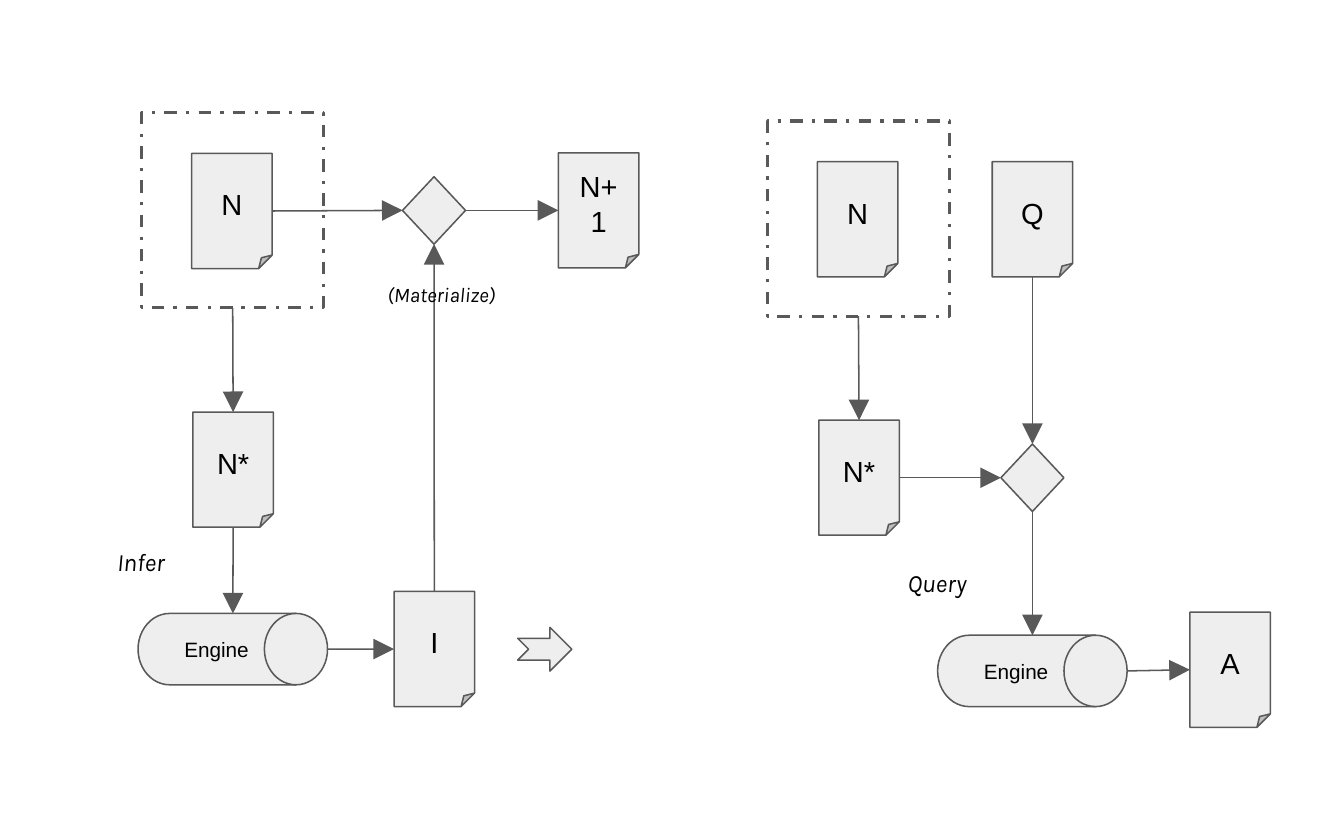
from lxml.etree import SubElement
from pptx import Presentation
from pptx.dml.color import RGBColor
from pptx.enum.dml import MSO_LINE
from pptx.enum.shapes import MSO_CONNECTOR, MSO_SHAPE
from pptx.enum.text import MSO_ANCHOR, PP_ALIGN
from pptx.oxml.ns import qn
from pptx.util import Pt

COLORS = {"fill": "EEEEEE", "line": "595959", "text": "000000"}

KINDS = {
    "frame": (MSO_SHAPE.RECTANGLE, 87.6, 94.1),
    "page": (MSO_SHAPE.FOLDED_CORNER, 38.8, 55.5),
    "merge": (MSO_SHAPE.DIAMOND, 30.4, 32.5),
    "engine": (MSO_SHAPE.FLOWCHART_DIRECT_ACCESS_STORAGE, 91.4, 34.4),
    "next": (MSO_SHAPE.NOTCHED_RIGHT_ARROW, 26.1, 21.1),
}

NODES = {
    "infer frame": ("frame", "", 68.4, 54.3),
    "infer N": ("page", "N", 92.4, 74),
    "infer N*": ("page", "N*", 93, 198.7),
    "infer engine": ("engine", "Engine", 66.6, 295.8),
    "I": ("page", "I", 190, 285.2),
    "infer merge": ("merge", "", 194.1, 85.2),
    "N+1": ("page", "N+1", 269.2, 73.7),
    "next step": ("next", "", 249.6, 302.5),
    "query frame": ("frame", "", 370.1, 58.4),
    "query N": ("page", "N", 394.1, 78),
    "Q": ("page", "Q", 478.4, 78),
    "query N*": ("page", "N*", 394.8, 202.6),
    "query merge": ("merge", "", 482.6, 214.1),
    "query engine": ("engine", "Engine", 452.1, 306.3),
    "A": ("page", "A", 573.7, 295.2),
}

ARROWS = [
    ("infer frame", "bottom", "infer N*", "top"),
    ("infer N*", "bottom", "infer engine", "top"),
    ("infer engine", "right", "I", "left"),
    ("I", "top", "infer merge", "bottom"),
    ("infer N", "right", "infer merge", "left"),
    ("infer merge", "right", "N+1", "left"),
    ("query frame", "bottom", "query N*", "top"),
    ("query N*", "right", "query merge", "left"),
    ("Q", "bottom", "query merge", "top"),
    ("query merge", "bottom", "query engine", "top"),
    ("query engine", "right", "A", "left"),
]

LABELS = [
    ("Infer", 12, 36, 256.3, 64),
    ("(Materialize)", 10, 175.7, 129.6, 74.2),
    ("Query", 12, 419.8, 266.4, 64),
]

SIDES = {"top": (0.5, 0), "bottom": (0.5, 1), "left": (0, 0.5), "right": (1, 0.5)}


def color(name):
    return RGBColor.from_string(COLORS[name])


def apply(target, values):
    for name, value in values.items():
        setattr(target, name, value)


def write(shape, text, anchor, alignment, font):
    frame = shape.text_frame
    margins = dict.fromkeys(
        ("margin_left", "margin_top", "margin_right", "margin_bottom"), Pt(7.2))
    apply(frame, {"word_wrap": True, "vertical_anchor": anchor, **margins})
    paragraph = frame.paragraphs[0]
    paragraph.alignment = alignment
    run = paragraph.add_run()
    run.text = text
    apply(run.font, font)
    run.font.color.rgb = color("text")


def draw_line(line, width):
    line.color.rgb = color("line")
    line.width = Pt(width)


def add_node(slide, kind, text, left, top):
    preset, width, height = KINDS[kind]
    shape = slide.shapes.add_shape(preset, Pt(left), Pt(top), Pt(width), Pt(height))
    shape.shadow.inherit = False
    if kind == "frame":
        shape.fill.background()
        draw_line(shape.line, 1.5)
        shape.line.dash_style = MSO_LINE.DASH_DOT
    else:
        shape.fill.solid()
        shape.fill.fore_color.rgb = color("fill")
        draw_line(shape.line, 0.75)
    if text:
        is_page = kind == "page"
        write(shape, text, MSO_ANCHOR.MIDDLE,
              PP_ALIGN.CENTER if is_page else PP_ALIGN.LEFT,
              {"name": "Arial", "size": Pt(14 if is_page else 10)})


def side_point(node, side):
    kind, _, left, top = NODES[node]
    _, width, height = KINDS[kind]
    across, down = SIDES[side]
    return Pt(left + across * width), Pt(top + down * height)


def add_arrow(slide, start, start_side, end, end_side):
    arrow = slide.shapes.add_connector(
        MSO_CONNECTOR.STRAIGHT, *side_point(start, start_side), *side_point(end, end_side))
    draw_line(arrow.line, 0.75)
    properties = arrow.element.spPr
    SubElement(properties.find(qn("a:ln")), qn("a:tailEnd"),
               {"type": "triangle", "w": "lg", "len": "lg"})
    SubElement(properties, qn("a:effectLst"))


def main():
    presentation = Presentation()
    apply(presentation, {"slide_width": Pt(648), "slide_height": Pt(405)})
    slide = presentation.slides.add_slide(presentation.slide_layouts[6])
    for node in NODES.values():
        add_node(slide, *node)
    for arrow in ARROWS:
        add_arrow(slide, *arrow)
    for text, size, left, top, width in LABELS:
        label = slide.shapes.add_textbox(Pt(left), Pt(top), Pt(width), Pt(36.7))
        write(label, text, MSO_ANCHOR.TOP, PP_ALIGN.CENTER,
              {"name": "Karla", "size": Pt(size), "italic": True})
    presentation.save("out.pptx")


if __name__ == "__main__":
    main()
